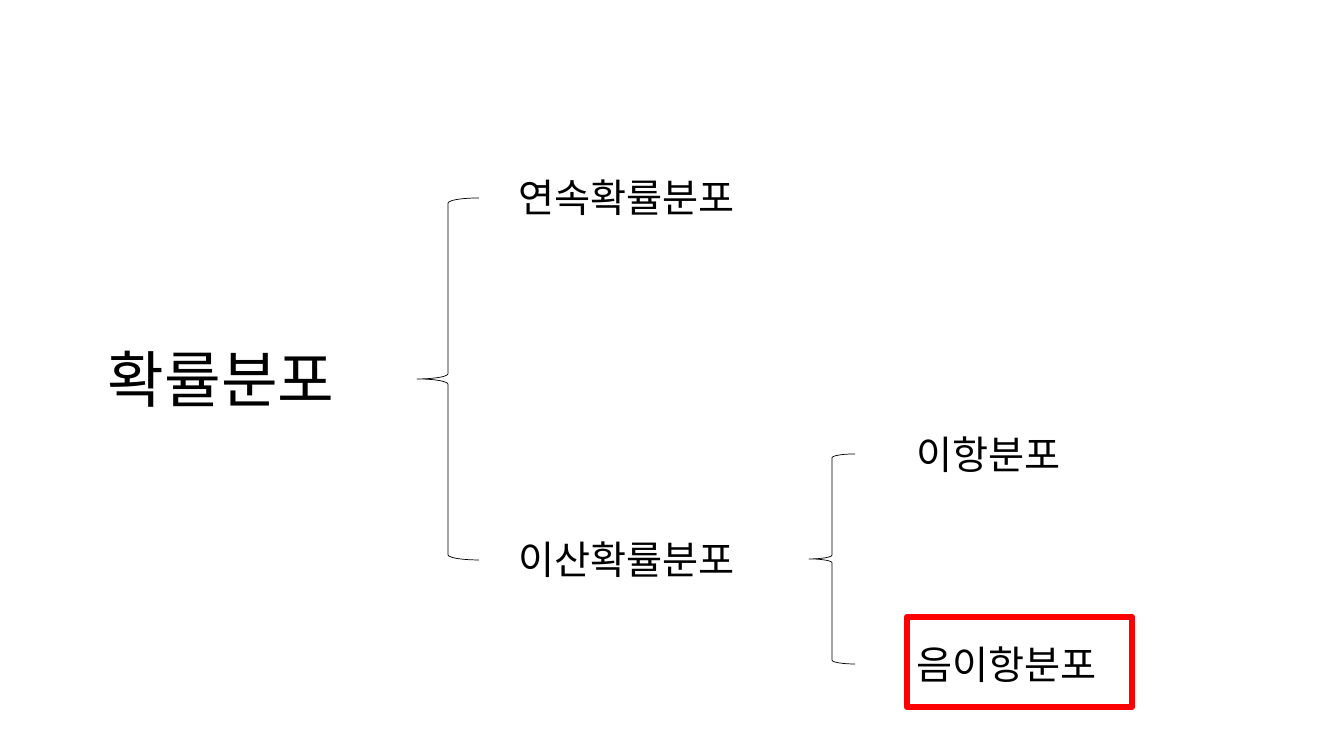
from dataclasses import dataclass
from lxml import etree
from pptx import Presentation, util as u
from pptx.dml.color import RGBColor
from pptx.enum import shapes, text
from pptx.oxml.ns import qn


@dataclass
class Theme:
    font: str = "Noto Sans CJK KR"
    ink: RGBColor = RGBColor(0, 0, 0)
    highlight: RGBColor = RGBColor(255, 0, 0)
    root_size: int = 44
    branch_size: int = 28
    brace_line: float = 0.5
    highlight_line: float = 4.5


theme = Theme()
SCALE = u.Inches(1) / 100.8


def px(*lengths):
    return [round(n * SCALE) for n in lengths]


def add_outline(kind, box, color, width):
    sp = s.shapes.add_shape(kind, *px(*box))
    sp.shadow.inherit = False
    sp.fill.background()
    sp.line.color.rgb = color
    sp.line.width = u.Pt(width)


prs = Presentation()
prs.slide_width, prs.slide_height = px(1344, 756)
s = prs.slides.add_slide(prs.slide_layouts[6])

labels = [
    ("확률분포", (98, 336, 274, 85), theme.root_size),
    ("연속확률분포", (509, 168, 272, 57), theme.branch_size),
    ("이산확률분포", (509, 530, 272, 57), theme.branch_size),
    ("이항분포", (907, 425, 179, 57), theme.branch_size),
    ("음이항분포", (907, 635, 225, 57), theme.branch_size),
]
for label, box, size in labels:
    tf = s.shapes.add_textbox(*px(*box)).text_frame
    tf.word_wrap = True
    tf.auto_size = text.MSO_AUTO_SIZE.SHAPE_TO_FIT_TEXT
    tf.text = label
    r = tf.paragraphs[0].runs[0]
    r.font.name = theme.font
    r.font.size = u.Pt(size)
    r.font.color.rgb = theme.ink
    etree.SubElement(r.font._element, qn("a:ea"), typeface=theme.font)

braces = [(417, 198, 62, 362), (809, 454, 46, 210)]
for box in braces:
    add_outline(shapes.MSO_SHAPE.LEFT_BRACE, box, theme.ink, theme.brace_line)

add_outline(shapes.MSO_SHAPE.RECTANGLE, (907, 617, 225, 90),
            theme.highlight, theme.highlight_line)

prs.save("out.pptx")
